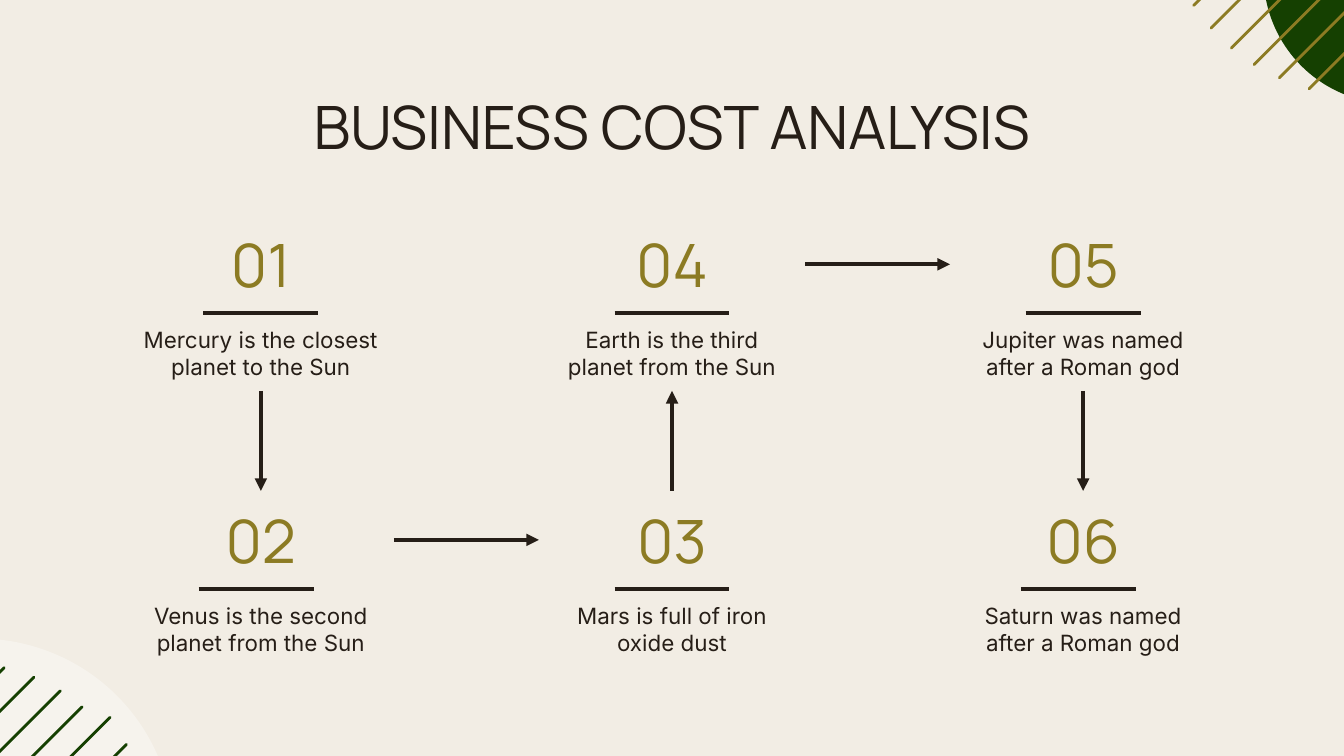
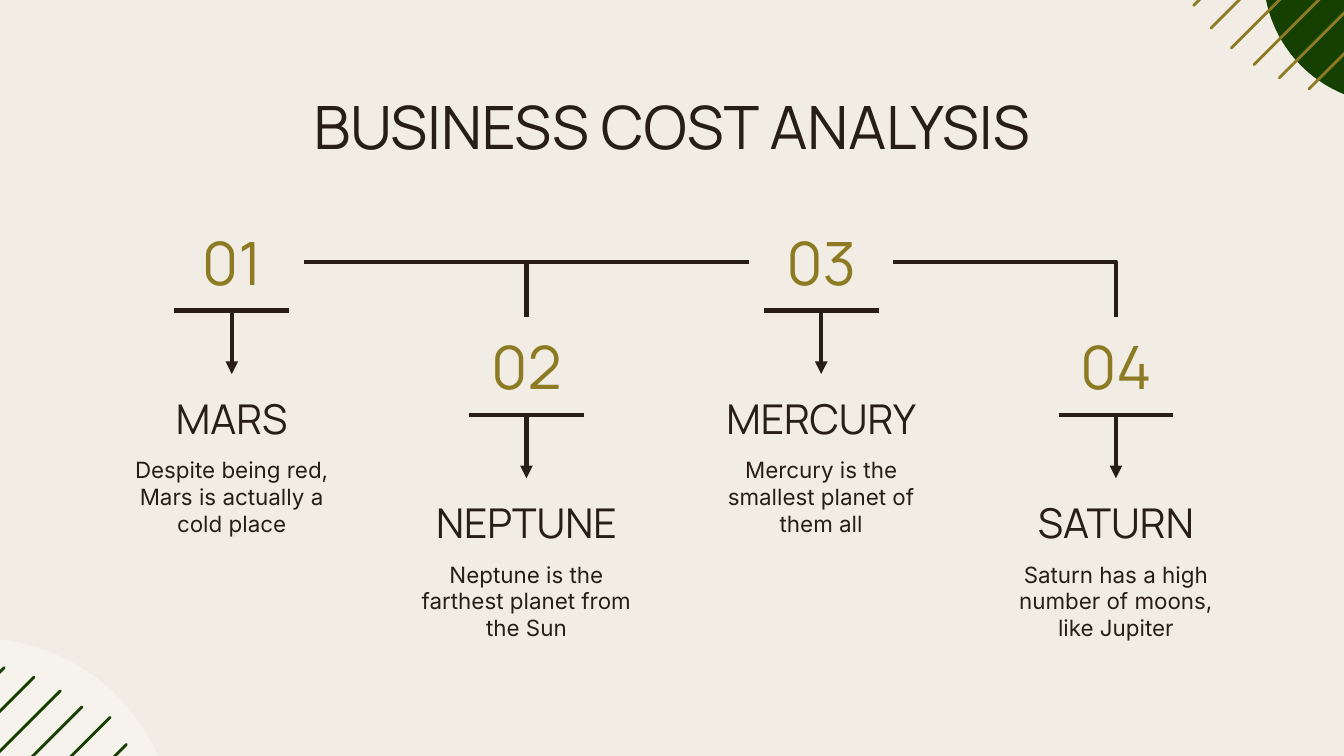
from itertools import pairwise

from pptx import Presentation
from pptx.dml.color import RGBColor
from pptx.enum.shapes import MSO_CONNECTOR, MSO_SHAPE
from pptx.enum.text import MSO_ANCHOR, MSO_AUTO_SIZE, PP_ALIGN
from pptx.oxml.ns import qn
from pptx.util import Cm, Pt
from lxml import etree

OVAL = MSO_SHAPE.OVAL
STRAIGHT, ELBOW = MSO_CONNECTOR.STRAIGHT, MSO_CONNECTOR.ELBOW
TOP, BOTTOM = MSO_ANCHOR.TOP, MSO_ANCHOR.BOTTOM
CENTER = PP_ALIGN.CENTER
NO_FIT = MSO_AUTO_SIZE.NONE

# Content
TITLE = "BUSINESS COST ANALYSIS"
STEPS = [  # number, text, column, row, shift of the rule
    ("01", "Mercury is the closest planet to the Sun", 0, 0, 0),
    ("02", "Venus is the second planet from the Sun", 0, 1, -0.09),
    ("03", "Mars is full of iron oxide dust", 1, 1, 0),
    ("04", "Earth is the third planet from the Sun", 1, 0, 0),
    ("05", "Jupiter was named after a Roman god", 2, 0, 0),
    ("06", "Saturn was named after a Roman god", 2, 1, -0.09),
]
PLANETS = [
    ("01", "MARS", "Despite being red, Mars is actually a cold place"),
    ("02", "NEPTUNE", "Neptune is the farthest planet from the Sun"),
    ("03", "MERCURY", "Mercury is the smallest planet of them all"),
    ("04", "SATURN", "Saturn has a high number of moons, like Jupiter"),
]

# Look
COLORS = {"paper": "F2EDE4", "ink": "261E17", "gold": "8C7B23",
          "green": "154001", "white": "FFFFFF"}
STYLES = {
    "head": {"name": "Manrope", "size": Pt(32), "color": "ink"},
    "number": {"name": "Manrope", "size": Pt(32), "color": "gold"},
    "name": {"name": "Manrope", "size": Pt(22), "color": "ink"},
    "body": {"name": "Inter", "size": Pt(12), "color": "ink"},
}
DISCS = [  # left, top, width, height, colour, opacity in percent
    (23.88, -2.92, 4.88, 4.88, "green", 100),
    (-4.09, 12.07, 7.37, 7.32, "white", 36),
]
STRIPES = {  # visible end x, y and run along the diagonal
    "gold": [(22.56, 0.1, 4.95), (22.89, 0.53, 5.23), (23.27, 0.91, 5.31),
             (23.7, 1.22, 5.13), (24.18, 1.47, 4.72), (24.74, 1.68, 4.34)],
    "green": [(0.08, 12.62, -4.34), (0.64, 12.8, -4.7), (1.14, 13.06, -4.95),
              (1.55, 13.36, -5.05), (2.08, 13.56, -5.23), (2.39, 14.07, -5.08)],
}

# Measures in centimetres
WIDE, HIGH = 25.4, 14.29
NUM_H = 1.85
RULE_W = 2.17


def rgb(key):
    return RGBColor.from_string(COLORS[key])


def fill_text(shape, text, style, anchor=TOP):
    frame = shape.text_frame
    frame.text = text
    pad = Cm(0.25)
    form = {"word_wrap": True, "auto_size": NO_FIT, "vertical_anchor": anchor,
            "margin_left": pad, "margin_right": pad,
            "margin_top": pad, "margin_bottom": pad}
    for key, value in form.items():
        setattr(frame, key, value)
    para = frame.paragraphs[0]
    para.alignment = CENTER
    font = para.runs[0].font
    for key, value in STYLES[style].items():
        if key == "color":
            font.color.rgb = rgb(value)
        else:
            setattr(font, key, value)


def add_text(slide, mid, top, width, height, text, style, anchor=TOP):
    """Add a text box centred on mid."""
    box = slide.shapes.add_textbox(Cm(mid - width / 2), Cm(top),
                                   Cm(width), Cm(height))
    fill_text(box, text, style, anchor)


def add_line(slide, x1, y1, x2, y2, color="ink", width=2.25,
             kind=STRAIGHT, arrow=False):
    line = slide.shapes.add_connector(kind, Cm(x1), Cm(y1), Cm(x2), Cm(y2))
    line.line.color.rgb = rgb(color)
    line.line.width = Pt(width)
    props = line.element.spPr
    if arrow:
        etree.SubElement(props.find(qn("a:ln")), qn("a:tailEnd"), type="triangle")
    etree.SubElement(props, qn("a:effectLst"))
    return line


def add_rule(slide, mid, y):
    add_line(slide, mid - RULE_W / 2, y, mid + RULE_W / 2, y)


def add_bend(slide, x, y, width, height, rising=False):
    """Link with one corner: across then down, or up then across."""
    if rising:  # the same bend, turned a quarter to the left
        mid_x, mid_y = x + width / 2, y + height / 2
        x, y = mid_x - height / 2, mid_y - width / 2
        width, height = height, width
    bend = add_line(slide, x, y, x + width, y + height, kind=ELBOW)
    props = bend.element.spPr
    props.find(qn("a:prstGeom")).set("prst", "bentConnector2")
    if rising:
        props.find(qn("a:xfrm")).set("rot", str(270 * 60000))


def dress(layout, slide):
    """Draw the corner art on a slide and hand it to its layout."""
    art = []
    for left, top, width, height, color, level in DISCS:
        disc = slide.shapes.add_shape(OVAL, Cm(left), Cm(top),
                                      Cm(width), Cm(height))
        disc.shadow.inherit = False
        disc.fill.solid()
        disc.fill.fore_color.rgb = rgb(color)
        disc.line.fill.background()
        if level < 100:
            tint = disc.element.spPr.find(".//" + qn("a:srgbClr"))
            etree.SubElement(tint, qn("a:alpha"), val=str(level * 1000))
        art.append(disc)
    for color, stripes in STRIPES.items():
        for x, y, run in stripes:
            stripe = add_line(slide, x, y, x + run, y - run, color, 1.5)
            stripe.element.spPr.find(qn("a:ln")).set("cap", "rnd")
            art.append(stripe)
    for part in art:
        layout.shapes.element.append(part.element)


def add_slide(prs, layout):
    slide = prs.slides.add_slide(layout)
    title = slide.shapes.title
    spot = {"left": 1.98, "top": 1.45, "width": 21.44, "height": 1.96}
    for key, value in spot.items():
        setattr(title, key, Cm(value))
    fill_text(title, TITLE, "head")
    return slide


def draw_steps(slide):
    width, text_h = 5.03, 1.47
    spots = []
    for number, text, col, row, shift in STEPS:
        mid, rule = 4.93 + 7.77 * col, 5.92 + 5.21 * row
        add_text(slide, mid, rule - NUM_H, width, NUM_H, number, "number", BOTTOM)
        add_text(slide, mid, rule, width, text_h, text, "body")
        add_rule(slide, mid + shift, rule)
        spots.append((mid, rule))
    for (x1, y1), (x2, y2) in pairwise(spots):
        if x1 != x2:
            y = y1 - NUM_H / 2
            ends = x1 + width / 2, y, x2 - width / 2, y
        elif y1 < y2:
            ends = x1, y1 + text_h, x2, y2 - NUM_H
        else:
            ends = x1, y1 - NUM_H, x2, y2 + text_h
        add_line(slide, *ends, arrow=True)


def draw_planets(slide):
    first, step, upper, drop = 4.38, 5.57, 5.87, 1.97
    num_w, text_w, stem = 2.72, 4.65, 1.2
    for i, (number, name, text) in enumerate(PLANETS):
        mid, rule = first + step * i, upper + drop * (i % 2)
        add_text(slide, mid, rule + stem, text_w, 1.55, name, "name", BOTTOM)
        add_text(slide, mid, rule + 2.51, text_w, 1.98, text, "body")
        add_text(slide, mid, rule - NUM_H, num_w, NUM_H, number, "number", BOTTOM)
        add_line(slide, mid, rule, mid, rule + stem, arrow=True)
        add_rule(slide, mid, rule)
    level = upper - NUM_H / 2
    span, fall = step - num_w / 2, upper + drop - NUM_H - level
    for i in range(len(PLANETS) - 1):
        rising = i % 2 == 1
        start = first + step * i + (0 if rising else num_w / 2)
        add_bend(slide, start, level, span, fall, rising)


def main():
    prs = Presentation()
    prs.slide_width, prs.slide_height = Cm(WIDE), Cm(HIGH)
    paper = prs.slide_master.background.fill
    paper.solid()
    paper.fore_color.rgb = rgb("paper")
    layout = prs.slide_layouts.get_by_name("Title Only")
    for i, draw in enumerate((draw_steps, draw_planets)):
        slide = add_slide(prs, layout)
        if i == 0:
            dress(layout, slide)
        draw(slide)
    prs.save("out.pptx")


if __name__ == "__main__":
    main()
